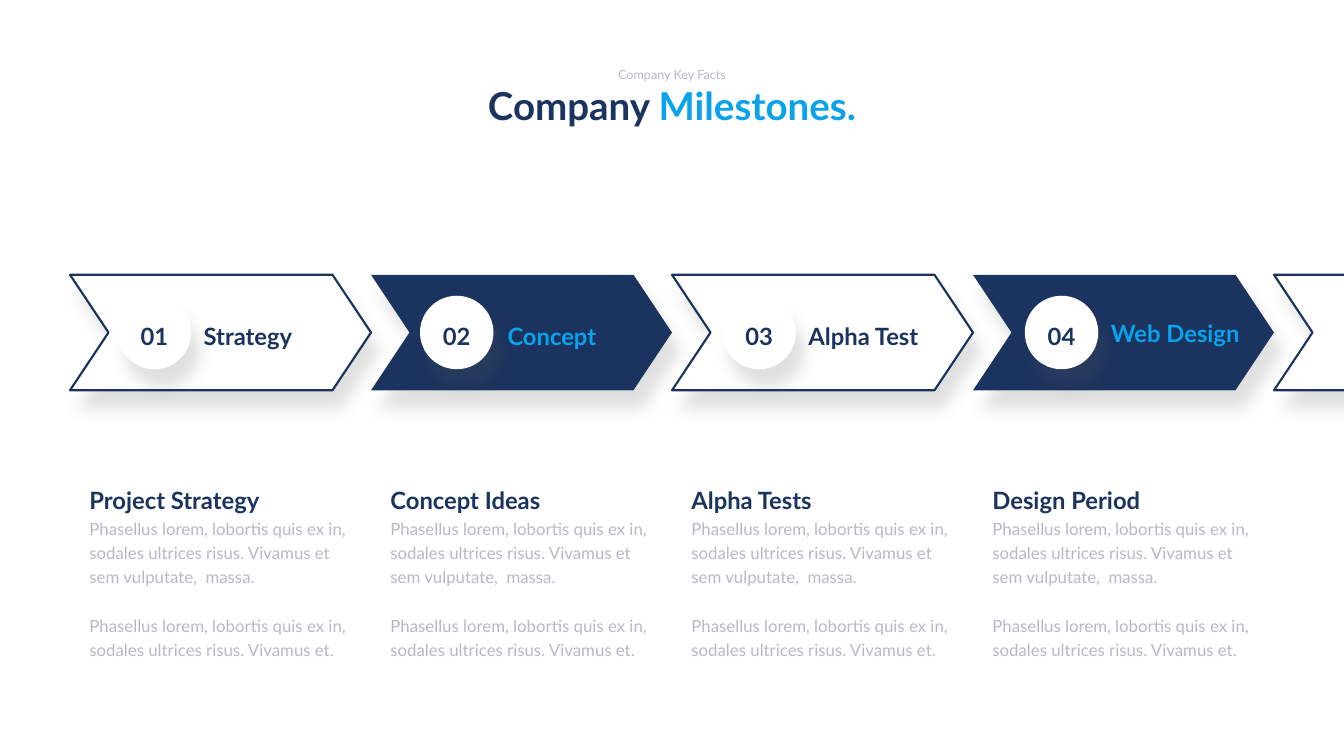
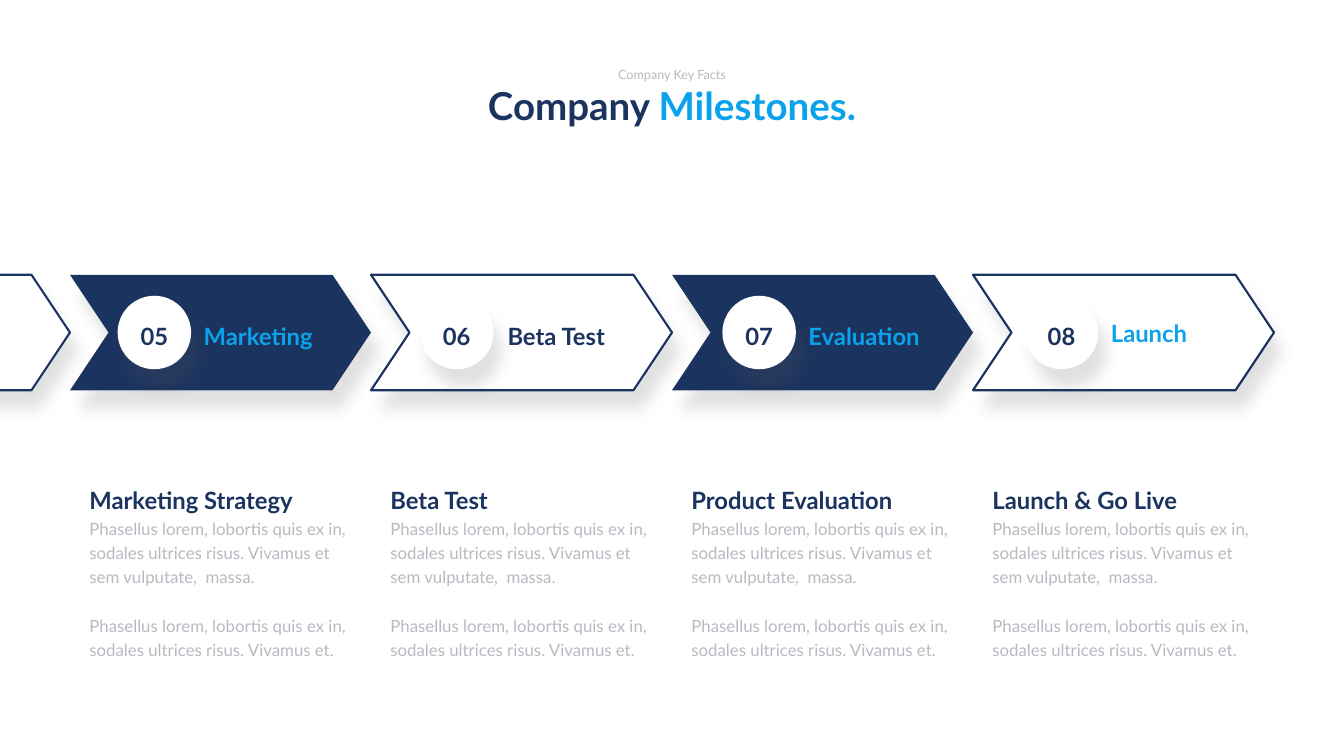
from lxml import etree
from pptx import Presentation
from pptx.dml.color import RGBColor
from pptx.enum.shapes import MSO_SHAPE
from pptx.enum.text import MSO_ANCHOR, MSO_AUTO_SIZE, PP_ALIGN
from pptx.oxml import parse_xml
from pptx.oxml.ns import nsdecls, qn
from pptx.util import Pt

CHEVRON, OVAL = MSO_SHAPE.CHEVRON, MSO_SHAPE.OVAL
TOP, MIDDLE = MSO_ANCHOR.TOP, MSO_ANCHOR.MIDDLE
GROW = MSO_AUTO_SIZE.SHAPE_TO_FIT_TEXT
LEFT, CENTER = PP_ALIGN.LEFT, PP_ALIGN.CENTER

# Colours
NAVY = RGBColor(0x1B, 0x33, 0x5F)
CYAN = RGBColor(0x0A, 0xA3, 0xEB)
GRAY = RGBColor(0xB9, 0xB9, 0xC2)
WHITE = RGBColor(0xFF, 0xFF, 0xFF)

# Text formats
BLOCK_FRAME = dict(margin_left=0, margin_top=0, margin_right=0, margin_bottom=0,
                   vertical_anchor=TOP, word_wrap=True, auto_size=GROW)
INSET = Pt(6)
LABEL_FRAME = dict(margin_left=INSET, margin_top=INSET, margin_right=INSET,
                   margin_bottom=INSET, vertical_anchor=MIDDLE, word_wrap=True,
                   auto_size=GROW)
SMALL_FONT = dict(name="Lato", size=Pt(18), bold=False)
TITLE_FONT = dict(name="Lato", size=Pt(55), bold=True)
HEADING_FONT = dict(name="Lato", size=Pt(34), bold=True)
BODY_FONT = dict(name="Lato", size=Pt(24), bold=False)
KICKER_LINE = dict(alignment=CENTER, line_spacing=1.1)
TITLE_LINE = dict(alignment=CENTER, line_spacing=1.0)
HEADING_LINE = dict(alignment=LEFT, line_spacing=1.21)
NUMBER_LINE = dict(alignment=CENTER, line_spacing=1.21)
BODY_LINE = dict(alignment=LEFT, line_spacing=1.2)
SPACED_BODY_LINE = dict(BODY_LINE, space_before=Pt(34.6))

# Grid, in points
CHEVRON_LEFT, CHEVRON_TOP, CHEVRON_WIDTH, CHEVRON_HEIGHT = 100, 392.5, 430, 165
CHEVRON_POINT = 55
CIRCLE_LEFT, CIRCLE_TOP, CIRCLE_SIZE, CIRCLE_STEP = 168, 422.5, 105, 432
LABEL_BOXES = [(285, 450.5, 207), (719, 450.5, 207), (1149, 450.5, 210),
               (1581, 446.5, 220)]

# Content
BODY_TEXTS = [
    (BODY_LINE, "Phasellus lorem, lobortis quis ex in, sodales ultrices risus. "
                "Vivamus et sem vulputate,  massa."),
    (SPACED_BODY_LINE, "Phasellus lorem, lobortis quis ex in, sodales ultrices risus. "
                       "Vivamus et."),
]
# Each slide: first number, first filled column, back-to-front columns, milestones
SLIDES = [
    (1, 1, [2, 0, 1, 3, 4], [
        ("Strategy", NAVY, "Project Strategy"),
        ("Concept", CYAN, "Concept Ideas"),
        ("Alpha Test", NAVY, "Alpha Tests"),
        ("Web Design", CYAN, "Design Period")]),
    (5, 0, [-1, 2, 0, 1, 3], [
        ("Marketing", CYAN, "Marketing Strategy"),
        ("Beta Test", NAVY, "Beta Test"),
        ("Evaluation", CYAN, "Product Evaluation"),
        ("Launch", CYAN, "Launch & Go Live")]),
]


def write_text(frame, frame_format, lines):
    """Fill a text frame with lines of (paragraph format, font, [(text, colour)])."""
    for name, value in frame_format.items():
        setattr(frame, name, value)
    for index, (line_format, font_format, runs) in enumerate(lines):
        paragraph = frame.add_paragraph() if index else frame.paragraphs[0]
        for name, value in line_format.items():
            setattr(paragraph, name, value)
        for text, color in runs:
            run = paragraph.add_run()
            run.text = text
            run.font.color.rgb = color
            for name, value in font_format.items():
                setattr(run.font, name, value)


def add_plain_shape(slide, kind, box, fill=None, outlined=False, shadowed=False):
    """Add a preset shape, with a soft shadow if wanted."""
    shape = slide.shapes.add_shape(kind, *[Pt(value) for value in box])
    shape.shadow.inherit = False
    if kind == CHEVRON:
        shape.adjustments[0] = CHEVRON_POINT / CHEVRON_HEIGHT
    if fill is None:
        shape.fill.background()
    else:
        shape.fill.solid()
        shape.fill.fore_color.rgb = fill
    if outlined:
        shape.line.color.rgb = NAVY
        shape.line.width = Pt(3)
    else:
        shape.line.fill.background()
    if shadowed:
        effects = shape.element.spPr.find(qn("a:effectLst"))
        shadow = parse_xml(
            f'<a:outerShdw {nsdecls("a")} blurRad="{Pt(22)}" dist="{Pt(27.8)}" '
            f'dir="{66 * 60000}" algn="ctr" rotWithShape="0"/>')
        color = etree.SubElement(shadow, qn("a:srgbClr"), val="5E5E5E")
        etree.SubElement(color, qn("a:alpha"), val="18000")
        effects.append(shadow)


presentation = Presentation()
presentation.slide_width, presentation.slide_height = Pt(1920), Pt(1080)

for first_number, first_filled, columns, milestones in SLIDES:
    slide = presentation.slides.add_slide(presentation.slide_layouts[5])

    # Title
    title = slide.shapes.title
    title.left, title.top, title.width, title.height = Pt(100.5), Pt(93.5), Pt(1719), Pt(91)
    write_text(title.text_frame, BLOCK_FRAME, [
        (KICKER_LINE, SMALL_FONT, [("Company Key Facts", GRAY)]),
        (TITLE_LINE, TITLE_FONT, [("Company ", NAVY), ("Milestones.", CYAN)])])

    # Chevron band: white shadowed bases, then filled or outlined faces
    chevron_boxes = {
        column: (CHEVRON_LEFT + column * CHEVRON_WIDTH, CHEVRON_TOP,
                 CHEVRON_WIDTH, CHEVRON_HEIGHT)
        for column in columns}
    for box in chevron_boxes.values():
        add_plain_shape(slide, CHEVRON, box, fill=WHITE, shadowed=True)
    for column, box in chevron_boxes.items():
        if column % 2 == first_filled:
            add_plain_shape(slide, CHEVRON, box, fill=NAVY)
        else:
            add_plain_shape(slide, CHEVRON, box, outlined=True)

    for column, (label, label_color, heading) in enumerate(milestones):
        # Numbered circle
        circle_left = CIRCLE_LEFT + column * CIRCLE_STEP
        add_plain_shape(slide, OVAL, (circle_left, CIRCLE_TOP, CIRCLE_SIZE, CIRCLE_SIZE),
                        fill=WHITE, shadowed=True)
        number_box = slide.shapes.add_textbox(Pt(circle_left + 12), Pt(450), Pt(81), Pt(51))
        write_text(number_box.text_frame, LABEL_FRAME, [
            (NUMBER_LINE, HEADING_FONT, [(f"{first_number + column:02}", NAVY)])])

        # Chevron label
        left, top, width = LABEL_BOXES[column]
        label_box = slide.shapes.add_textbox(Pt(left), Pt(top), Pt(width), Pt(51))
        write_text(label_box.text_frame, LABEL_FRAME, [
            (HEADING_LINE, HEADING_FONT, [(label, label_color)])])

        # Description column
        description = slide.shapes.add_textbox(
            Pt(127.75 + column * CHEVRON_WIDTH), Pt(686), Pt(372), Pt(248.5))
        write_text(description.text_frame, BLOCK_FRAME, [
            (HEADING_LINE, HEADING_FONT, [(heading, NAVY)]),
            *[(line, BODY_FONT, [(text, GRAY)]) for line, text in BODY_TEXTS]])

presentation.save("out.pptx")
